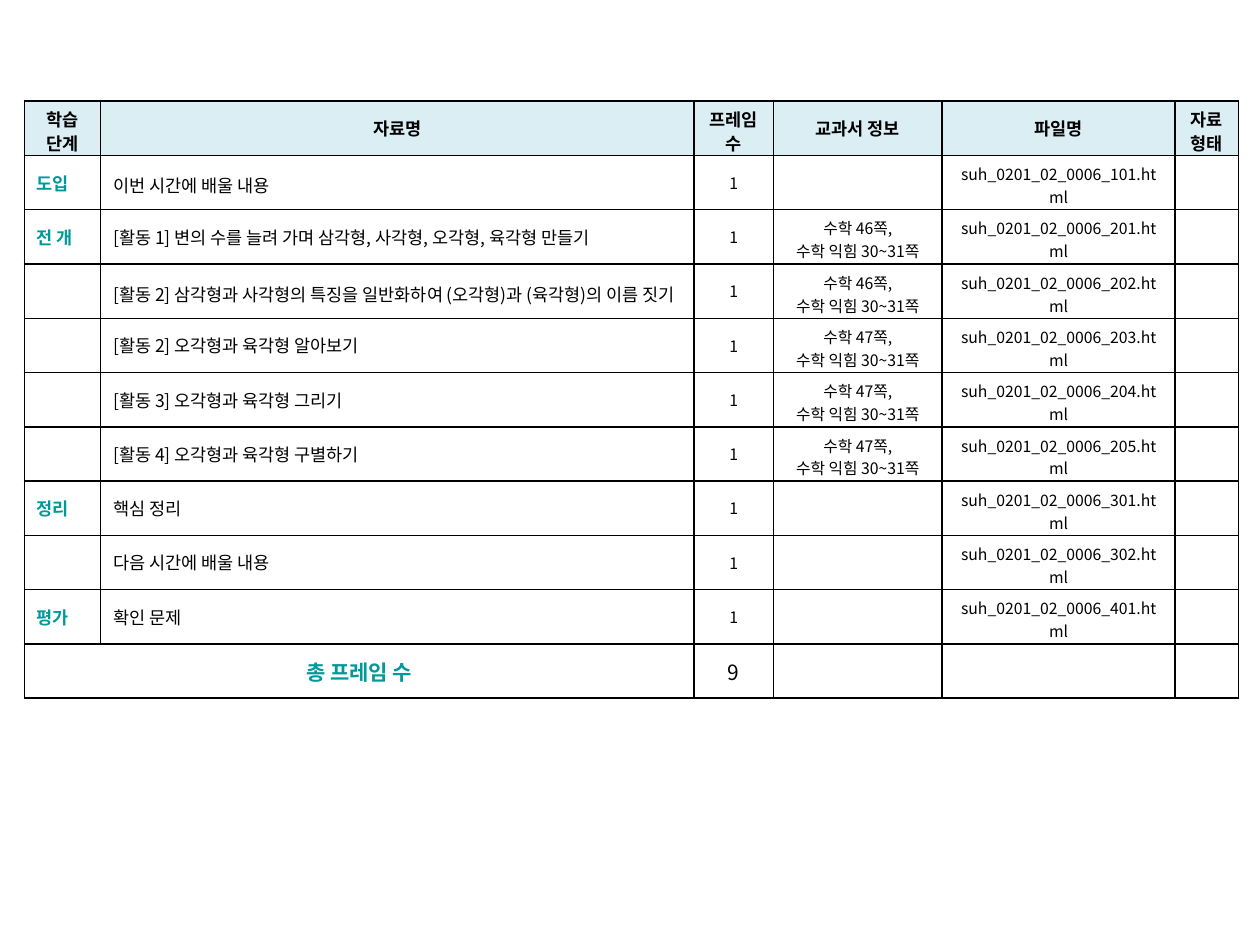
from lxml.etree import SubElement
from pptx import Presentation
from pptx.dml.color import RGBColor
from pptx.enum.text import MSO_ANCHOR, PP_ALIGN
from pptx.oxml.ns import qn
from pptx.util import Cm, Pt

FONT = "Noto Sans CJK KR"
TEAL = "009999"
BLACK = "000000"
HEADER_FILL = "DBEEF4"
COLUMN_WIDTHS = (1.54, 11.96, 1.6, 3.4, 4.7, 1.28)
TABLE_HEIGHT = 12.04
TIGHT = 0.94
HEADERS = (
    ("학습 단계", TIGHT),
    ("자료명", None),
    ("프레임 수", TIGHT),
    ("교과서 정보", None),
    ("파일명", None),
    ("자료\n형태", TIGHT),
)
LESSONS = (
    ("도입", "이번 시간에 배울 내용", None, 101, 1.2),
    ("전 개", "[활동 1] 변의 수를 늘려 가며 삼각형, 사각형, 오각형, 육각형 만들기", 46, 201, None),
    ("", "[활동 2] 삼각형과 사각형의 특징을 일반화하여 (오각형)과 (육각형)의 이름 짓기", 46, 202, TIGHT),
    ("", "[활동 2] 오각형과 육각형 알아보기", 47, 203, None),
    ("", "[활동 3] 오각형과 육각형 그리기", 47, 204, None),
    ("", "[활동 4] 오각형과 육각형 구별하기", 47, 205, None),
    ("정리", "핵심 정리", None, 301, None),
    ("", "다음 시간에 배울 내용", None, 302, None),
    ("평가", "확인 문제", None, 401, None),
)


def rgb(value):
    """Turn a hex string into a colour."""
    return RGBColor.from_string(value)


def set_borders(cell, color=BLACK, width=1):
    """Draw a solid line on all four sides of a cell."""
    tc_pr = cell._tc.get_or_add_tcPr()
    for position, side in enumerate(("lnL", "lnR", "lnT", "lnB")):
        ln = tc_pr.makeelement(qn(f"a:{side}"), {"w": str(Pt(width))})
        fill = SubElement(ln, qn("a:solidFill"))
        SubElement(fill, qn("a:srgbClr"), val=color)
        tc_pr.insert(position, ln)


def write(cell, text, size=9, color=BLACK, bold=False, align=PP_ALIGN.CENTER,
          spacing=None, bottom=0.13):
    """Write formatted text into a cell, one paragraph a line."""
    cell.vertical_anchor = MSO_ANCHOR.MIDDLE
    cell.margin_bottom = Cm(0 if spacing == TIGHT else bottom)
    tf = cell.text_frame
    tf.text = text
    for p in tf.paragraphs:
        p.alignment = align
        if spacing:
            p.line_spacing = spacing
        if not p.runs:
            SubElement(p._p, qn("a:endParaRPr"), sz=str(size * 100))
        for r in p.runs:
            r.font.size = Pt(size)
            r.font.name = FONT
            r.font.bold = bold
            r.font.color.rgb = rgb(color)
            SubElement(r._r.get_or_add_rPr(), qn("a:ea"), typeface=FONT)


def add_grid(slide):
    """Add the empty bordered table and return it."""
    rows = len(LESSONS) + 2
    frame = slide.shapes.add_table(rows, len(COLUMN_WIDTHS), Cm(0.49), Cm(2.04),
                                   Cm(sum(COLUMN_WIDTHS)), Cm(TABLE_HEIGHT))
    table = frame.table
    table.first_row = False
    table.horz_banding = False
    for column, width in zip(table.columns, COLUMN_WIDTHS):
        column.width = Cm(width)
    for row in table.rows:
        row.height = Cm(TABLE_HEIGHT / rows)
    for cell in table.iter_cells():
        cell.fill.background()
        set_borders(cell)
        write(cell, "")
    return table


def fill_header(table):
    """Fill the heading row."""
    for column, (text, spacing) in enumerate(HEADERS):
        cell = table.cell(0, column)
        cell.fill.solid()
        cell.fill.fore_color.rgb = rgb(HEADER_FILL)
        write(cell, text, size=10, bold=True, spacing=spacing)


def fill_lessons(table):
    """Fill one row for each lesson material."""
    for row, (stage, title, page, number, spacing) in enumerate(LESSONS, 1):
        if stage:
            write(table.cell(row, 0), stage, size=10, color=TEAL, bold=True,
                  align=PP_ALIGN.JUSTIFY)
        write(table.cell(row, 1), title, size=10, spacing=spacing,
              align=PP_ALIGN.JUSTIFY if row == 1 else PP_ALIGN.LEFT)
        write(table.cell(row, 2), "1")
        if page:
            write(table.cell(row, 3), f"수학 {page}쪽,\n수학 익힘 30~31쪽", bottom=0.02)
        write(table.cell(row, 4), f"suh_0201_02_0006_{number}.html", bottom=0.02)


def fill_total(table):
    """Fill the closing row with the frame count."""
    last = len(LESSONS) + 1
    table.cell(last, 0).merge(table.cell(last, 1))
    write(table.cell(last, 0), "총 프레임 수", size=12, color=TEAL, bold=True)
    write(table.cell(last, 2), str(len(LESSONS)), size=12)


def main():
    """Build the slide and save it."""
    prs = Presentation()
    prs.slide_width, prs.slide_height = Cm(25.4), Cm(19.05)
    slide = prs.slides.add_slide(prs.slide_layouts[6])
    table = add_grid(slide)
    fill_header(table)
    fill_lessons(table)
    fill_total(table)
    prs.save("out.pptx")


if __name__ == "__main__":
    main()
